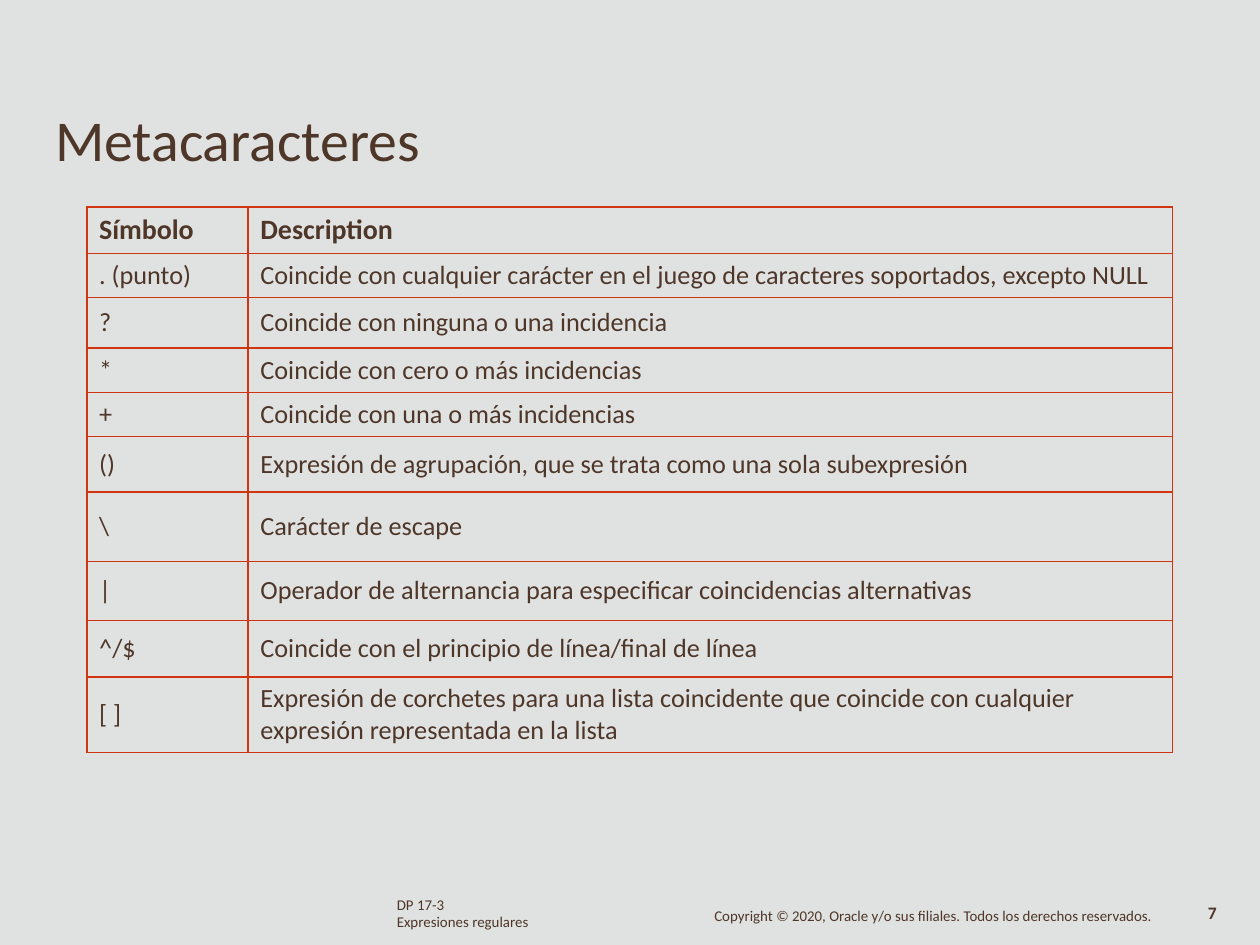
from dataclasses import dataclass

from lxml import etree
from pptx import Presentation
from pptx.dml.color import RGBColor
from pptx.enum.text import MSO_ANCHOR, MSO_AUTO_SIZE, PP_ALIGN
from pptx.oxml.ns import qn
from pptx.util import Cm, Pt

LEFT = PP_ALIGN.LEFT
TOP, MIDDLE = MSO_ANCHOR.TOP, MSO_ANCHOR.MIDDLE
NO_AUTOFIT = MSO_AUTO_SIZE.NONE
TITLE_ONLY = 5


@dataclass(frozen=True)
class Theme:
    font: str = "Calibri"
    background: str = "E0E2E1"
    ink: str = "4E3629"
    border: str = "D1350F"
    border_width: float = 1
    title: float = 33
    header: float = 16
    body: float = 15
    footer: float = 8.5
    page: float = 10


THEME = Theme()

COLUMN_WIDTHS = (3.25, 18.64)
# Symbol, description, row height in cm
ROWS = (
    ("Símbolo", "Description", 0.94),
    (". (punto)", "Coincide con cualquier carácter en el juego de caracteres "
                  "soportados, excepto NULL", 0.89),
    ("?", "Coincide con ninguna o una incidencia", 1.02),
    ("*", "Coincide con cero o más incidencias", 0.89),
    ("+", "Coincide con una o más incidencias", 0.89),
    ("()", "Expresión de agrupación, que se trata como una sola subexpresión", 1.12),
    ("\\", "Carácter de escape", 1.4),
    ("|", "Operador de alternancia para especificar coincidencias alternativas", 1.19),
    ("^/$", "Coincide con el principio de línea/final de línea", 1.14),
    ("[ ]", "Expresión de corchetes para una lista coincidente que coincide con "
            "cualquier expresión representada en la lista", 1.52),
)


def style(paragraph, size, bold=False):
    paragraph.alignment = LEFT
    font = paragraph.font
    font.name = THEME.font
    font.size = Pt(size)
    font.bold = bold
    font.color.rgb = RGBColor.from_string(THEME.ink)


def clear_frame(frame):
    """Remove the insets and start the text at the top."""
    frame.margin_left = frame.margin_right = 0
    frame.margin_top = frame.margin_bottom = 0
    frame.word_wrap = True
    frame.auto_size = NO_AUTOFIT
    frame.vertical_anchor = TOP


def add_title(slide, left, top, width, height):
    title = slide.shapes.title
    title.left, title.top = Cm(left), Cm(top)
    title.width, title.height = Cm(width), Cm(height)
    clear_frame(title.text_frame)
    title.text_frame.text = "Metacaracteres"
    style(title.text_frame.paragraphs[0], THEME.title)


def add_borders(cell):
    properties = cell._tc.get_or_add_tcPr()
    for side in ("a:lnL", "a:lnR", "a:lnT", "a:lnB"):
        line = etree.SubElement(properties, qn(side), w=str(Pt(THEME.border_width)))
        fill = etree.SubElement(line, qn("a:solidFill"))
        etree.SubElement(fill, qn("a:srgbClr"), val=THEME.border)


def add_symbol_table(slide, left, top):
    width = sum(COLUMN_WIDTHS)
    height = sum(row[-1] for row in ROWS)
    table = slide.shapes.add_table(len(ROWS), len(COLUMN_WIDTHS), Cm(left), Cm(top),
                                   Cm(width), Cm(height)).table
    table.first_row = table.horz_banding = False
    for column, column_width in zip(table.columns, COLUMN_WIDTHS):
        column.width = Cm(column_width)
    for index, (*texts, row_height) in enumerate(ROWS):
        row = table.rows[index]
        row.height = Cm(row_height)
        is_header = index == 0
        for cell, text in zip(row.cells, texts):
            add_borders(cell)
            cell.fill.background()
            cell.margin_left = Cm(0.25)
            cell.margin_right = cell.margin_top = cell.margin_bottom = 0
            cell.vertical_anchor = MIDDLE
            cell.text = text
            style(cell.text_frame.paragraphs[0],
                  THEME.header if is_header else THEME.body, is_header)


def add_footer_text(slide, left, top, width, height, lines, size, bold=False):
    """Add one paragraph for each (text, line height in points) pair."""
    frame = slide.shapes.add_textbox(Cm(left), Cm(top), Cm(width), Cm(height)).text_frame
    clear_frame(frame)
    for index, (text, line_height) in enumerate(lines):
        paragraph = frame.add_paragraph() if index else frame.paragraphs[0]
        paragraph.text = text
        paragraph.line_spacing = Pt(line_height)
        style(paragraph, size, bold)


def add_footer(slide, left, top):
    add_footer_text(slide, left, top, 2.8, 0.69,
                    (("DP 17-3", 8.6), ("Expresiones regulares", 9.7)), THEME.footer)
    add_footer_text(slide, left + 6.4, top + 0.2, 8.95, 0.38,
                    (("Copyright © 2020, Oracle y/o sus filiales. "
                      "Todos los derechos reservados.", 9.1),), THEME.footer)
    add_footer_text(slide, left + 16.35, top + 0.13, 0.45, 0.43,
                    (("7", 10.4),), THEME.page, bold=True)


def main():
    presentation = Presentation()
    presentation.slide_width, presentation.slide_height = Cm(25.4), Cm(19.05)
    slide = presentation.slides.add_slide(presentation.slide_layouts[TITLE_ONLY])
    background = slide.background.fill
    background.solid()
    background.fore_color.rgb = RGBColor.from_string(THEME.background)
    add_title(slide, 1.11, 2.1, 7.44, 1.47)
    add_symbol_table(slide, 1.75, 4.17)
    add_footer(slide, 8, 18.11)
    presentation.save("out.pptx")


if __name__ == "__main__":
    main()
